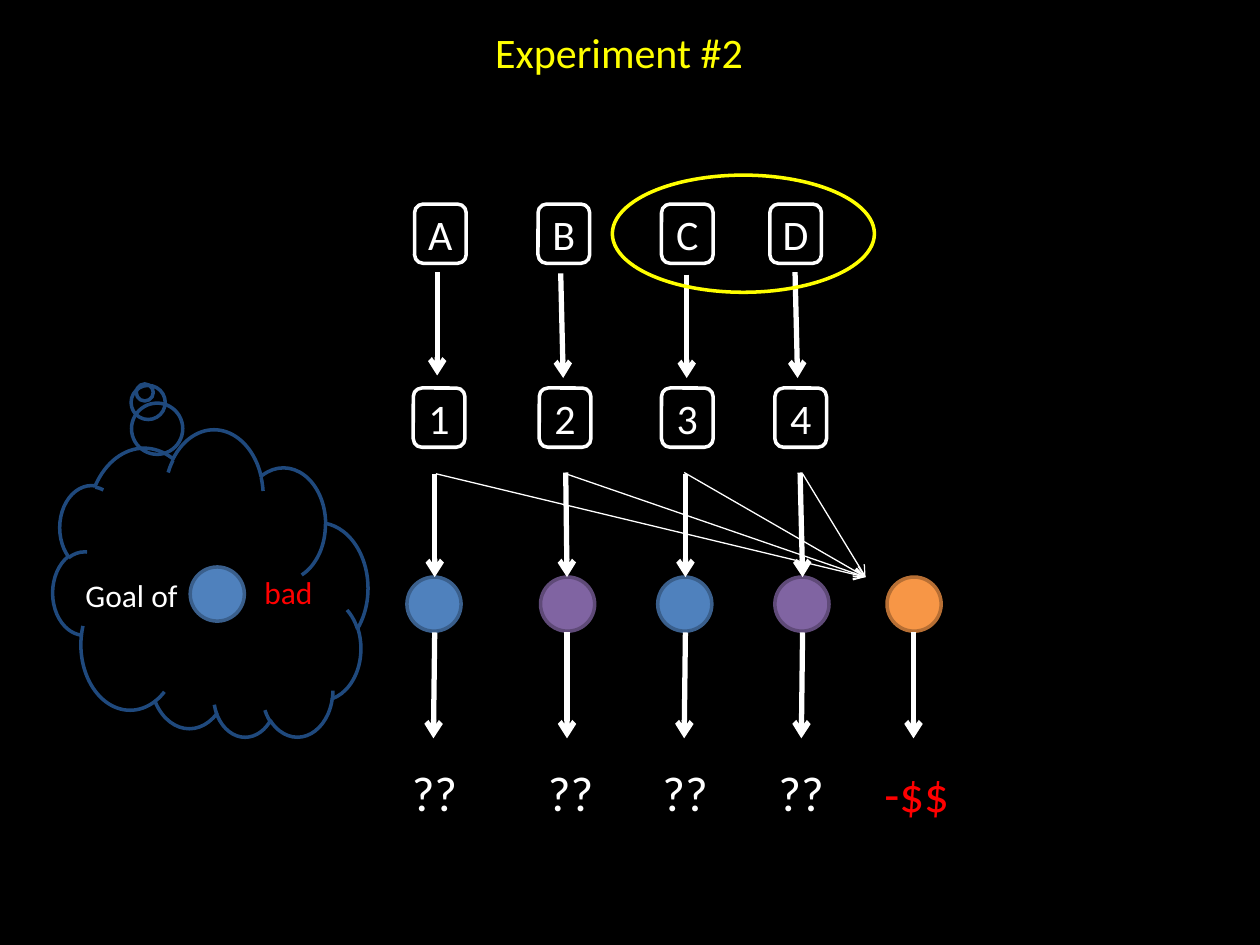
"""Build the Experiment #2 slide: letters, numbers, coloured balls and outcomes."""
from dataclasses import dataclass

from lxml.etree import SubElement
from pptx import Presentation
from pptx.dml.color import RGBColor
from pptx.enum.shapes import MSO_CONNECTOR as Link, MSO_SHAPE as Shape
from pptx.enum.text import MSO_ANCHOR as Anchor, MSO_AUTO_SIZE as Fit, PP_ALIGN as Align
from pptx.oxml.ns import qn
from pptx.util import Inches, Pt

WHITE, YELLOW, RED, BLACK = "FFFFFF", "FFFF00", "FF0000", "000000"
BLUE, PURPLE, ORANGE, NAVY = "4F81BD", "8064A2", "F79646", "1F497D"
RIMS = {BLUE: "3A5F8C", PURPLE: "5F4A78", ORANGE: "B76F34"}
BALL_TOP, BALL_SIZE = 4.58, 0.43
OUTCOME_ARROW = 5.02, 5.86
PENALTY_TIP = 6.87, BALL_TOP

Point = tuple[float, float]
Area = tuple[float, float, float, float]


@dataclass(frozen=True)
class Column:
    """One chain from letter to outcome, with left edges and arrow ends."""
    letter: str
    letter_left: float
    number: str
    number_left: float
    color: str
    ball_left: float
    outcome_left: float
    upper: tuple[Point, Point]
    lower: tuple[Point, Point]
    outcome_x: Point
    branch: Point


COLUMNS = [
    Column("A", 3.29, "1", 3.28, BLUE, 3.23, 3.17, ((3.47, 2.16), (3.47, 2.98)),
           ((3.45, 3.76), (3.45, 4.58)), (3.45, 3.44), (3.46, 3.76)),
    Column("B", 4.27, "2", 4.28, PURPLE, 4.29, 4.25, ((4.45, 2.17), (4.47, 3)),
           ((4.49, 3.75), (4.5, 4.58)), (4.5, 4.5), (4.49, 3.76)),
    Column("C", 5.25, "3", 5.25, BLUE, 5.22, 5.16, ((5.45, 2.18), (5.45, 3)),
           ((5.44, 3.76), (5.44, 4.58)), (5.44, 5.43), (5.43, 3.75)),
    Column("D", 6.11, "4", 6.15, PURPLE, 6.15, 6.08, ((6.31, 2.16), (6.33, 3)),
           ((6.35, 3.75), (6.37, 4.58)), (6.37, 6.36), (6.37, 3.76)),
]


def rgb(color: str) -> RGBColor:
    """Turn a hex string into a colour."""
    return RGBColor.from_string(color)


def write(shape, text: str, *, size: float, color: str = WHITE,
          align=Align.LEFT, anchor=Anchor.TOP) -> None:
    """Put one formatted line of text in a shape."""
    frame = shape.text_frame
    frame.vertical_anchor = anchor
    para = frame.paragraphs[0]
    para.alignment = align
    span = para.add_run()
    span.text = text
    span.font.name = "Calibri"
    span.font.size = Pt(size)
    span.font.color.rgb = rgb(color)


def add_label(page, text: str, area: Area, **style) -> None:
    """Add a text box that fits its single line."""
    box = page.shapes.add_textbox(*map(Inches, area))
    box.text_frame.word_wrap = False
    box.text_frame.auto_size = Fit.SHAPE_TO_FIT_TEXT
    write(box, text, **style)


def add_outline(page, kind: Shape, area: Area, line: str, fill: str | None = None):
    """Add a preset shape with a two-point outline."""
    shape = page.shapes.add_shape(kind, *map(Inches, area))
    shape.shadow.inherit = False
    if fill:
        shape.fill.solid()
        shape.fill.fore_color.rgb = rgb(fill)
    else:
        shape.fill.background()
    shape.line.color.rgb = rgb(line)
    shape.line.width = Pt(2)
    return shape


def add_card(page, text: str, left: float, top: float) -> None:
    """Add a rounded card holding one character."""
    card = add_outline(page, Shape.ROUNDED_RECTANGLE, (left, top, 0.41, 0.47), WHITE)
    frame = card.text_frame
    frame.margin_left = frame.margin_right = 0
    write(card, text, size=24, align=Align.CENTER, anchor=Anchor.MIDDLE)


def add_ball(page, color: str, left: float, top: float = BALL_TOP) -> None:
    """Add a filled ball with its darker rim."""
    add_outline(page, Shape.OVAL, (left, top, BALL_SIZE, BALL_SIZE), RIMS[color], color)


def add_arrow(page, start: Point, end: Point, width: float = 3) -> None:
    """Add a white arrow between two points."""
    arrow = page.shapes.add_connector(Link.STRAIGHT, *map(Inches, (*start, *end)))
    arrow.line.color.rgb = rgb(WHITE)
    arrow.line.width = Pt(width)
    SubElement(arrow.line._get_or_add_ln(), qn("a:tailEnd"), type="arrow")
    SubElement(arrow._element.spPr, qn("a:effectLst"))


def add_title(page, text: str) -> None:
    """Move the title placeholder to the top and fill it."""
    title = page.shapes.title
    title.left, title.top, title.width, title.height = map(Inches, (3.83, 0.16, 2.19, 0.5))
    title.text_frame.word_wrap = False
    title.text_frame.auto_size = Fit.SHAPE_TO_FIT_TEXT
    write(title, text, size=24, color=YELLOW)


def add_column(page, column: Column) -> None:
    """Draw one chain and its branch to the penalty ball."""
    add_card(page, column.letter, column.letter_left, 1.62)
    add_arrow(page, *column.upper)
    add_card(page, column.number, column.number_left, 3.08)
    add_ball(page, column.color, column.ball_left)
    add_arrow(page, *column.lower)
    add_arrow(page, *zip(column.outcome_x, OUTCOME_ARROW))
    add_arrow(page, column.branch, PENALTY_TIP, width=0.75)
    add_label(page, "??", (column.outcome_left, 6, 0.57, 0.57), size=28)


def add_penalty(page) -> None:
    """Draw the shared orange ball and its loss."""
    add_ball(page, ORANGE, 7.04)
    add_arrow(page, *zip((7.25, 7.25), OUTCOME_ARROW))
    add_label(page, "-$$", (6.92, 6.01, 0.72, 0.57), size=28, color=RED)


def add_thought(page) -> None:
    """Draw the thought cloud with the goal inside."""
    cloud = add_outline(page, Shape.CLOUD_CALLOUT, (0.42, 3.42, 2.5, 2.44), NAVY)
    cloud._element.spPr.get_or_add_xfrm().set("flipV", "1")
    add_ball(page, BLUE, 1.51, 4.5)
    add_label(page, "bad", (2, 4.5, 0.59, 0.4), size=18, color=RED)
    add_label(page, "Goal of", (0.58, 4.52, 0.94, 0.4), size=18)


def main() -> None:
    """Build and save the deck."""
    deck = Presentation()
    deck.slide_width, deck.slide_height = Inches(10), Inches(7.5)
    page = deck.slides.add_slide(deck.slide_layouts.get_by_name("Title Only"))
    page.background.fill.solid()
    page.background.fill.fore_color.rgb = rgb(BLACK)
    add_title(page, "Experiment #2")
    for column in COLUMNS:
        add_column(page, column)
    add_penalty(page)
    add_outline(page, Shape.OVAL, (4.86, 1.39, 2.08, 0.93), YELLOW)
    add_thought(page)
    deck.save("out.pptx")


if __name__ == "__main__":
    main()
